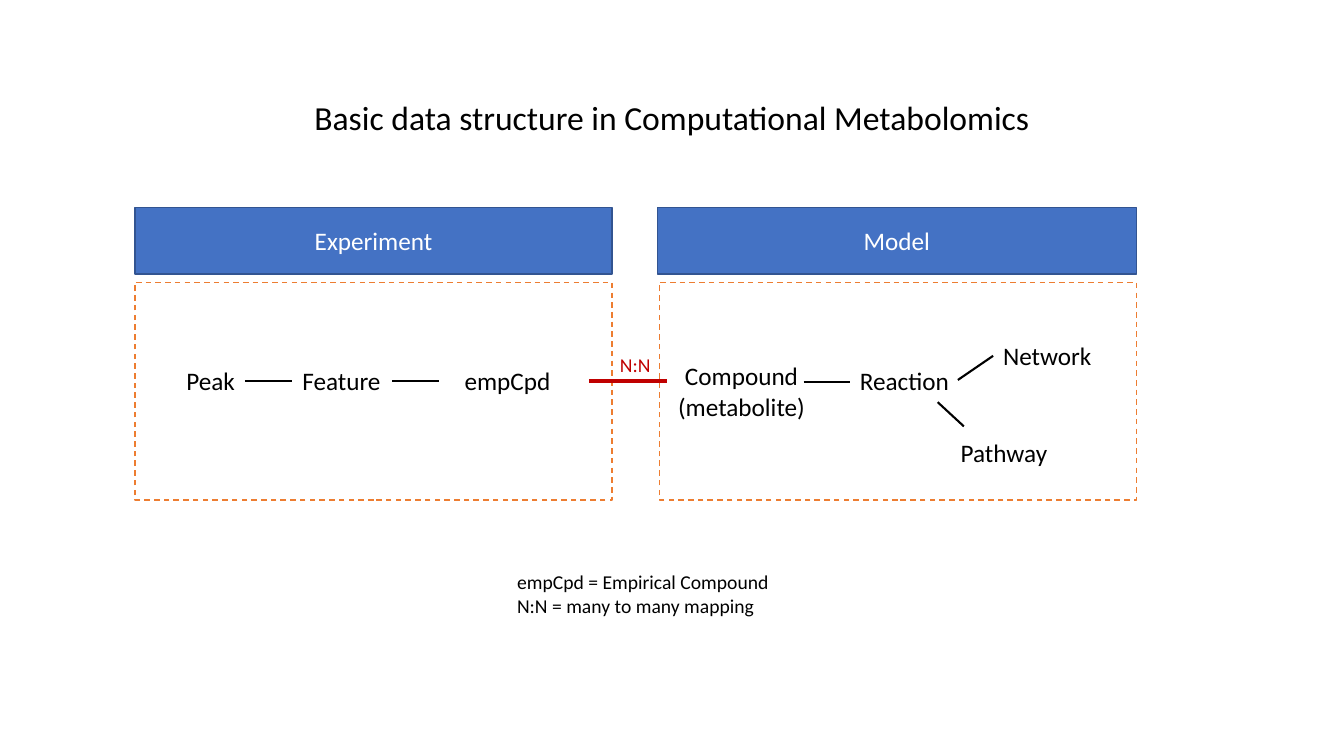
from lxml.etree import SubElement
from pptx import Presentation
from pptx.dml.color import RGBColor
from pptx.enum.dml import MSO_LINE
from pptx.enum.shapes import MSO_CONNECTOR, MSO_SHAPE
from pptx.enum.text import MSO_ANCHOR, MSO_AUTO_SIZE, PP_ALIGN
from pptx.oxml.ns import qn
from pptx.util import Inches, Pt

BLACK, WHITE, RED = "000000", "FFFFFF", "C00000"
BLUE, DARK_BLUE, ORANGE = "4472C4", "325491", "ED7D31"


def color(hex_code):
    return RGBColor.from_string(hex_code)


def write(frame, text, size=18, ink=BLACK, align=PP_ALIGN.LEFT):
    frame.text = text
    for paragraph in frame.paragraphs:
        paragraph.alignment = align
        for run in paragraph.runs:
            run.font.name = "Calibri"
            run.font.size = Pt(size)
            run.font.color.rgb = color(ink)


def add_label(slide, text, left, top, width, height=0.4, **text_format):
    label = slide.shapes.add_textbox(*map(Inches, (left, top, width, height)))
    frame = label.text_frame
    write(frame, text, **text_format)
    frame.word_wrap = False
    frame.auto_size = MSO_AUTO_SIZE.SHAPE_TO_FIT_TEXT


def add_box(slide, left, top, width, height, outline):
    box = slide.shapes.add_shape(
        MSO_SHAPE.RECTANGLE, *map(Inches, (left, top, width, height)))
    box.shadow.inherit = False
    box.line.color.rgb = color(outline)
    box.line.width = Pt(1)
    return box


def add_header(slide, text, left, width):
    header = add_box(slide, left, 2.06, width, 0.66, DARK_BLUE)
    header.fill.solid()
    header.fill.fore_color.rgb = color(BLUE)
    header.text_frame.vertical_anchor = MSO_ANCHOR.MIDDLE
    write(header.text_frame, text, ink=WHITE, align=PP_ALIGN.CENTER)


def add_panel(slide, left):
    panel = add_box(slide, left, 2.8, 4.73, 2.16, ORANGE)
    panel.fill.background()
    panel.line.dash_style = MSO_LINE.DASH


def add_link(slide, x1, y1, x2, y2, ink=BLACK, weight=1.5):
    link = slide.shapes.add_connector(
        MSO_CONNECTOR.STRAIGHT, *map(Inches, (x1, y1, x2, y2)))
    link.line.color.rgb = color(ink)
    link.line.width = Pt(weight)
    SubElement(link._element.spPr, qn("a:effectLst"))


def main():
    deck = Presentation()
    deck.slide_width, deck.slide_height = Inches(13.33), Inches(7.5)
    slide = deck.slides.add_slide(deck.slide_layouts[6])

    add_header(slide, "Experiment", 1.34, 4.73)
    add_header(slide, "Model", 6.52, 4.75)

    for concept, left, top, width in (
        ("Peak", 1.75, 3.58, 0.69),
        ("Feature", 2.9, 3.58, 0.99),
        ("empCpd", 4.51, 3.58, 1.06),
        ("Network", 9.85, 3.33, 1.09),
        ("Pathway", 9.43, 4.29, 1.07),
        ("Reaction", 8.43, 3.58, 1.1),
    ):
        add_label(slide, concept, left, top, width)
    add_label(slide, "Compound\v(metabolite)", 6.62, 3.53, 1.47, 0.71,
              align=PP_ALIGN.CENTER)

    for left in (1.34, 6.54):
        add_panel(slide, left)

    for ends in (
        (2.43, 3.78, 2.9, 3.78),
        (3.89, 3.78, 4.35, 3.78),
        (7.97, 3.79, 8.43, 3.79),
        (9.5, 3.77, 9.85, 3.53),
        (9.3, 3.99, 9.56, 4.23),
    ):
        add_link(slide, *ends)
    add_link(slide, 5.84, 3.78, 6.62, 3.78, ink=RED, weight=2.75)

    add_label(slide, "N:N", 6.05, 3.45, 0.51, 0.34, size=14, ink=RED)
    add_label(slide, "Basic data structure in Computational Metabolomics",
              3.02, 0.91, 7.36, 0.5, size=24)
    add_label(slide, "empCpd = Empirical Compound\nN:N = many to many mapping",
              5.03, 5.61, 2.72, 0.57, size=14)

    deck.save("out.pptx")


main()
